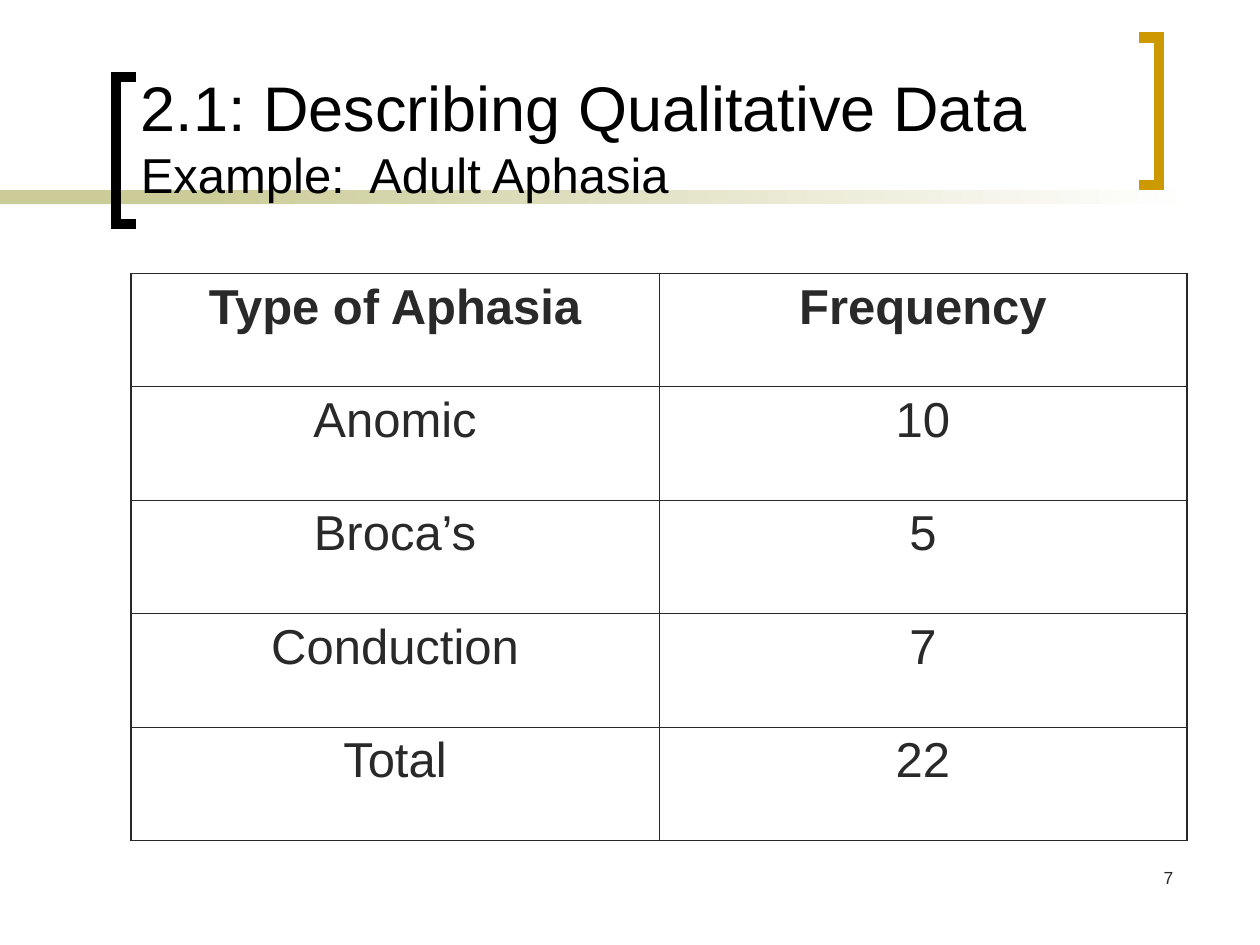
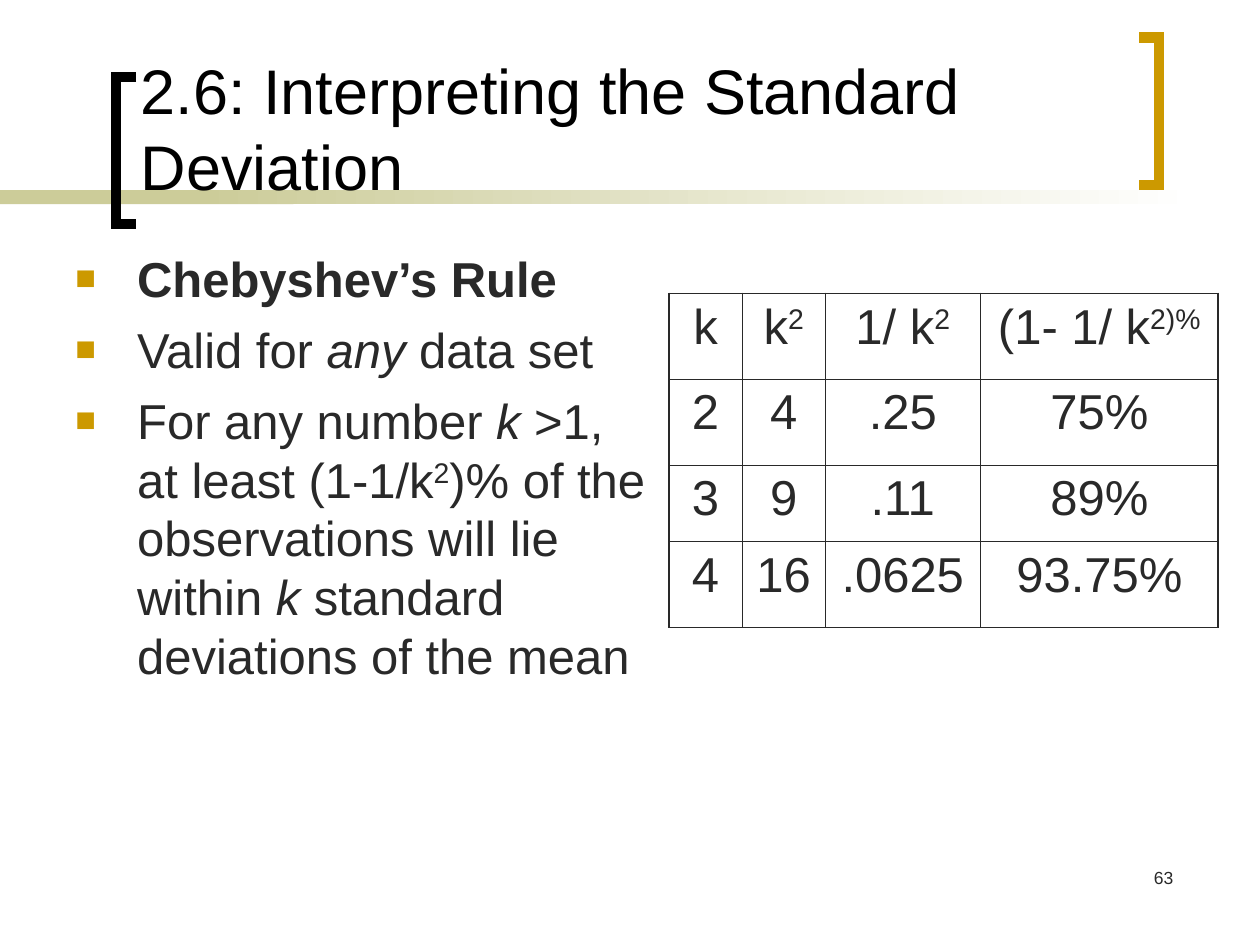
from lxml import etree
from pptx import Presentation
from pptx import util as u
from pptx.dml.color import RGBColor
from pptx.enum import shapes, text
from pptx.oxml.ns import qn

FONT = "Arial"
INK, BLACK, GOLD, OLIVE, WHITE = "292929", "000000", "CC9900", "CCCC99", "FFFFFF"
OUTER_BORDER, INNER_BORDER = 1.08, 0.45

TITLE_BOX = (1.02, 0.11, 7.83, 1.55)
NUMBER_BOX = (7.33, 6.83, 2.08, 0.5)
BAND_TOP, BAND_HEIGHT = 1.51, 0.11
BRACKET_WIDTH, BRACKET_HEIGHT = 0.16, 1.17


def color(hex_value):
    return RGBColor.from_string(hex_value)


def inches(*lengths):
    return [u.Inches(length) for length in lengths]


def write_runs(paragraph, parts, size, ink=INK):
    """Write strings or (string, style) pairs; style is bold, italic or super."""
    for part in parts:
        words, style = (part, "") if isinstance(part, str) else part
        run = paragraph.add_run()
        run.text = words
        run.font.name, run.font.size = FONT, u.Pt(size)
        run.font.color.rgb = color(ink)
        run.font.bold = style == "bold"
        run.font.italic = style == "italic"
        if style == "super":
            run.font._element.set("baseline", "30000")


def add_text_frame(slide, box):
    frame = slide.shapes.add_textbox(*inches(*box)).text_frame
    frame.word_wrap = True
    return frame


# Frame shared by the slides
def add_band(slide, left, width):
    band = slide.shapes.add_shape(
        shapes.MSO_SHAPE.RECTANGLE, *inches(left, BAND_TOP, width, BAND_HEIGHT))
    band.shadow.inherit = False
    band.line.fill.background()
    return band


def add_bracket(slide, spine, tip, top, ink):
    bottom = top + BRACKET_HEIGHT
    builder = slide.shapes.build_freeform(*inches(tip, top))
    builder.add_line_segments(
        [inches(*point) for point in ((spine, top), (spine, bottom), (tip, bottom))],
        close=False)
    bracket = builder.convert_to_shape()
    bracket.shadow.inherit = False
    bracket.fill.background()
    bracket.line.color.rgb = color(ink)
    bracket.line.width = u.Pt(6)
    outline = bracket._element.spPr.find(qn("a:ln"))
    etree.SubElement(outline, qn("a:miter"), lim="800000")


def add_frame(slide, title_lines, number):
    # Band: a plain start that fades to white
    plain = add_band(slide, 0, 2.33)
    plain.fill.solid()
    plain.fill.fore_color.rgb = color(OLIVE)
    fading = add_band(slide, 1.58, 7.92)
    fading.fill.gradient()
    fading.fill.gradient_angle = 0
    for stop, shade in zip(fading.fill.gradient_stops, (OLIVE, WHITE)):
        stop.color.rgb = color(shade)

    # Brackets around the title
    add_bracket(slide, 0.92, 0.92 + BRACKET_WIDTH, 0.61, BLACK)
    add_bracket(slide, 9.2, 9.2 - BRACKET_WIDTH, 0.3, GOLD)

    # Slide number
    paragraph = add_text_frame(slide, NUMBER_BOX).paragraphs[0]
    paragraph.alignment = text.PP_ALIGN.RIGHT
    write_runs(paragraph, [number], 10)

    # Title
    frame = add_text_frame(slide, TITLE_BOX)
    frame.vertical_anchor = text.MSO_ANCHOR.BOTTOM
    paragraph = frame.paragraphs[0]
    for index, (line, size) in enumerate(title_lines):
        if index:
            paragraph.add_line_break()
        write_runs(paragraph, [line], size, BLACK)


# Tables
def set_borders(cell, sides):
    properties = cell._tc.get_or_add_tcPr()
    for tag, is_outer in sides.items():
        width = u.Pt(OUTER_BORDER if is_outer else INNER_BORDER)
        line = etree.SubElement(properties, qn(f"a:{tag}"), w=str(int(width)))
        fill = etree.SubElement(line, qn("a:solidFill"))
        etree.SubElement(fill, qn("a:srgbClr"), val=INK)


def add_grid(slide, left, top, column_widths, row_heights, rows):
    box = (left, top, sum(column_widths), sum(row_heights))
    table = slide.shapes.add_table(
        len(rows), len(column_widths), *inches(*box)).table
    table.first_row = table.horz_banding = False
    for column, width in zip(table.columns, column_widths):
        column.width = u.Inches(width)
    for row, height in zip(table.rows, row_heights):
        row.height = u.Inches(height)
    last_row, last_column = len(rows) - 1, len(column_widths) - 1
    for r, row in enumerate(rows):
        for c, parts in enumerate(row):
            cell = table.cell(r, c)
            set_borders(cell, {"lnL": c == 0, "lnR": c == last_column,
                               "lnT": r == 0, "lnB": r == last_row})
            cell.fill.background()
            paragraph = cell.text_frame.paragraphs[0]
            paragraph.alignment = text.PP_ALIGN.CENTER
            write_runs(paragraph, [parts] if isinstance(parts, str) else parts, 28)


# Bulleted text
def add_bullet(paragraph):
    properties = paragraph._p.get_or_add_pPr()
    indent = u.Inches(0.49)
    properties.set("marL", str(indent))
    properties.set("indent", str(-indent))
    bullet_color = etree.SubElement(properties, qn("a:buClr"))
    etree.SubElement(bullet_color, qn("a:srgbClr"), val=GOLD)
    etree.SubElement(properties, qn("a:buSzPct"), val="70000")
    etree.SubElement(properties, qn("a:buFont"), typeface=FONT)
    etree.SubElement(properties, qn("a:buChar"), char="■")


def add_bullets(slide, box, items):
    frame = add_text_frame(slide, box)
    for index, parts in enumerate(items):
        paragraph = frame.add_paragraph() if index else frame.paragraphs[0]
        add_bullet(paragraph)
        if index:
            paragraph.space_before = u.Pt(7)
        write_runs(paragraph, parts, 28)


# Slides
def build_aphasia_slide(slide):
    add_frame(slide, [("2.1: Describing Qualitative Data", 36),
                      ("Example:  Adult Aphasia", 28)], "7")
    add_grid(slide, 1.04, 2.17, [4.19] * 2, [0.9] * 5, [
        [[("Type of Aphasia", "bold")], [("Frequency", "bold")]],
        ["Anomic", "10"],
        ["Broca’s", "5"],
        ["Conduction", "7"],
        ["Total", "22"],
    ])


def build_chebyshev_slide(slide):
    add_frame(slide, [("2.6: Interpreting the Standard Deviation", 36)], "63")
    squared = ("2", "super")
    add_bullets(slide, (0.5, 1.92, 4.81, 4.75), [
        [("Chebyshev’s Rule", "bold")],
        ["Valid for ", ("any", "italic"), " data set"],
        ["For any number", (" k", "italic"), " >1, at least (1-1/k", squared,
         ")% of the observations will lie within ", ("k", "italic"),
         " standard deviations of the mean"],
    ])
    add_grid(slide, 5.31, 2.33, [0.58, 0.66, 1.23, 1.89], [0.68, 0.68, 0.61, 0.68], [
        ["k", ["k", squared], ["1/ k", squared], ["(1- 1/ k", ("2)%", "super")]],
        ["2", "4", ".25", "75%"],
        ["3", "9", ".11", "89%"],
        ["4", "16", ".0625", "93.75%"],
    ])


def main():
    presentation = Presentation()
    presentation.slide_width, presentation.slide_height = inches(10, 7.5)
    blank = presentation.slide_layouts[6]
    for build in (build_aphasia_slide, build_chebyshev_slide):
        build(presentation.slides.add_slide(blank))
    presentation.save("out.pptx")


if __name__ == "__main__":
    main()
